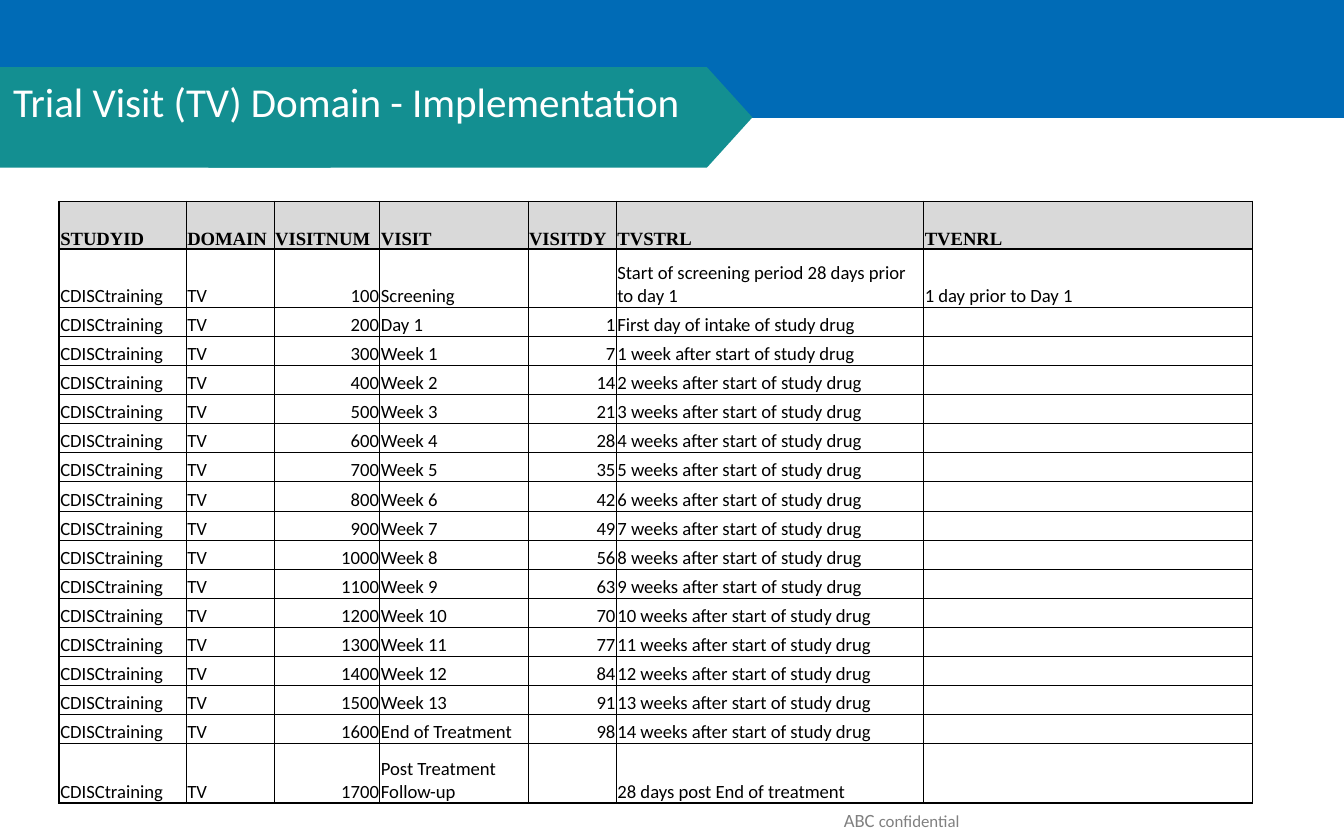
"""Build the Trial Visit (TV) domain implementation slide."""
from lxml.etree import SubElement
from pptx import Presentation
from pptx.dml.color import RGBColor
from pptx.enum.shapes import MSO_SHAPE
from pptx.enum.text import MSO_ANCHOR, PP_ALIGN
from pptx.oxml.ns import qn
from pptx.util import Cm, Pt


def paint(fill, colour):
    fill.solid()
    fill.fore_color.rgb = RGBColor.from_string(colour)


def write(para, text, size=10, font="Calibri", colour="000000", bold=False, align=PP_ALIGN.LEFT):
    para.alignment = align
    span = para.add_run()
    span.text = text
    span.font.size = Pt(size)
    span.font.name = font
    span.font.bold = bold
    paint(span.font.fill, colour)


deck = Presentation()
deck.slide_width, deck.slide_height = Cm(25.4), Cm(15.88)
page = deck.slides.add_slide(deck.slide_layouts[6])

banner = page.shapes.add_shape(MSO_SHAPE.RECTANGLE, 0, 0, Cm(25.4), Cm(2.23))
ribbon = page.shapes.add_shape(MSO_SHAPE.RECTANGLE, 0, Cm(1.27), Cm(6.25), Cm(1.9))
outline = page.shapes.build_freeform(Cm(13.36), Cm(1.27))
outline.add_line_segments(
    [(Cm(x), Cm(y)) for x, y in [(14.22, 2.22), (13.36, 3.17), (3.94, 3.17), (3.94, 1.27)]]
)
arrow = outline.convert_to_shape()
for shape, colour in [(banner, "006BB6"), (ribbon, "138F91"), (arrow, "138F91")]:
    paint(shape.fill, colour)
    shape.line.fill.background()
    shape.shadow.inherit = False

title = page.shapes.add_textbox(0, Cm(1.27), Cm(23.65), Cm(1.5)).text_frame
title.word_wrap = True
title.margin_top = Cm(0.17)
write(title.paragraphs[0], "Trial Visit (TV) Domain - Implementation", size=22, colour="FFFFFF")

visits = [("Screening", "", "Start of screening period 28 days prior to day 1", "1 day prior to Day 1"),
          ("Day 1", "1", "First day of intake of study drug", "")]
for week in range(1, 15):
    name = f"Week {week}" if week < 14 else "End of Treatment"
    unit = "week" if week == 1 else "weeks"
    visits.append((name, str(week * 7), f"{week} {unit} after start of study drug", ""))
visits.append(("Post Treatment Follow-up", "", "28 days post End of treatment", ""))

rows = [("STUDYID", "DOMAIN", "VISITNUM", "VISIT", "VISITDY", "TVSTRL", "TVENRL")]
for number, visit in enumerate(visits, start=1):
    rows.append(("CDISCtraining", "TV", str(number * 100), *visit))

widths = [2.4, 1.66, 2, 2.8, 1.67, 5.81, 6.21]
heights = [0.9, 1.1] + [0.55] * 15 + [1.12]
table = page.shapes.add_table(
    len(rows), len(widths), Cm(1.12), Cm(3.81), Cm(sum(widths)), Cm(sum(heights))
).table
table.first_row = table.horz_banding = False
table._tbl.tblPr.find(qn("a:tableStyleId")).text = "{2D5ABB26-0587-4C30-8999-92F81FD0307C}"
for column, width in zip(table.columns, widths):
    column.width = Cm(width)
for row, height in zip(table.rows, heights):
    row.height = Cm(height)

last_row, last_column = len(rows) - 1, len(widths) - 1
for r, row in enumerate(rows):
    for c, text in enumerate(row):
        cell = table.cell(r, c)
        cell.margin_left = cell.margin_right = cell.margin_top = Cm(0.02)
        cell.margin_bottom = 0
        cell.vertical_anchor = MSO_ANCHOR.BOTTOM
        thick = {"lnL": c == 0, "lnR": c == last_column,
                 "lnT": r in (0, 1), "lnB": r in (0, last_row)}
        for side, heavy in thick.items():
            border = SubElement(cell._tc.get_or_add_tcPr(), qn(f"a:{side}"),
                                w=str(Pt(1 if heavy else 0.5)))
            SubElement(SubElement(border, qn("a:solidFill")), qn("a:srgbClr"), val="000000")
        para = cell.text_frame.paragraphs[0]
        if r == 0:
            paint(cell.fill, "D9D9D9")
            write(para, text, font="Times New Roman", bold=True)
            continue
        cell.fill.background()
        if text:
            write(para, text, align=PP_ALIGN.RIGHT if c in (2, 4) else PP_ALIGN.LEFT)
        else:
            SubElement(para._p, qn("a:endParaRPr"), sz="1000")

footer = page.shapes.add_textbox(Cm(13.13), Cm(15.16), Cm(7.82), Cm(0.53)).text_frame
footer.word_wrap = True
for text, size in [("ABC ", 10), ("confidential", 9)]:
    write(footer.paragraphs[0], text, size=size, colour="808080", align=PP_ALIGN.CENTER)

deck.save("out.pptx")
